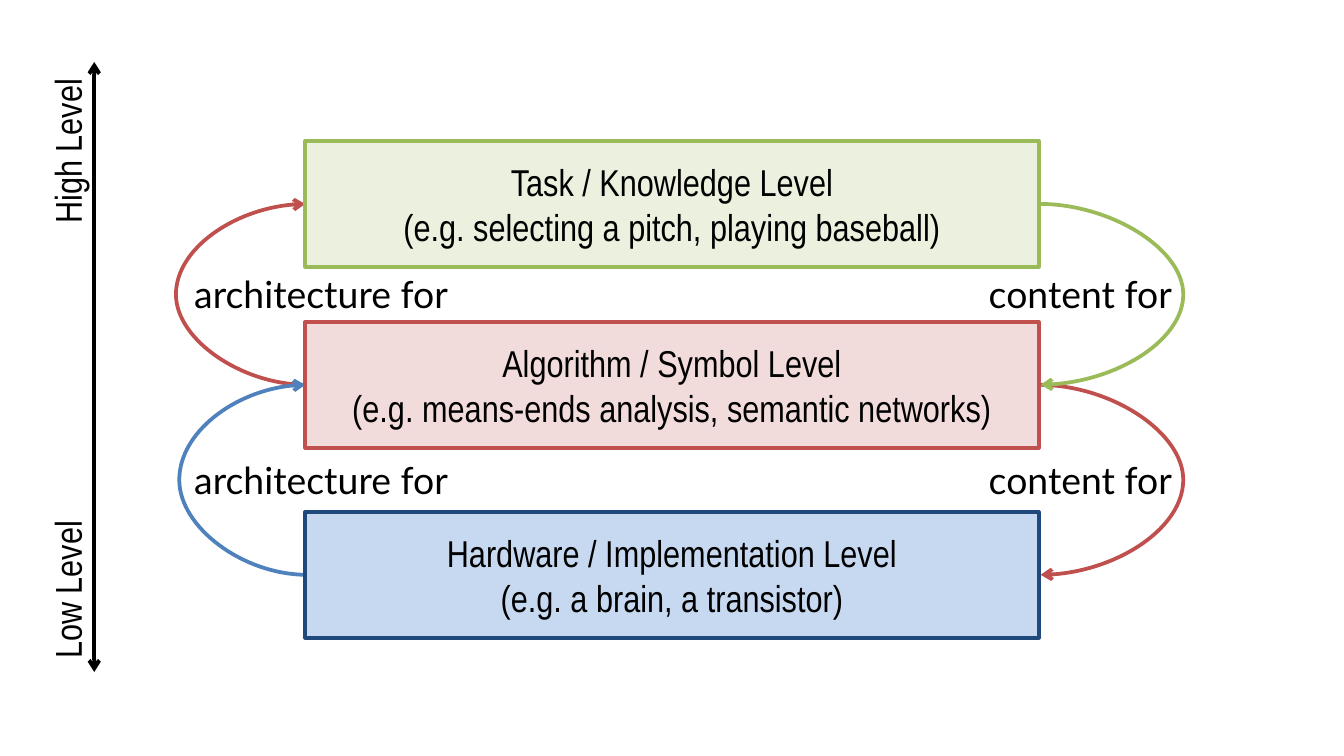
from dataclasses import dataclass

from lxml.etree import SubElement
from pptx import Presentation
from pptx.dml.color import RGBColor
from pptx.enum.shapes import MSO_CONNECTOR as Connector, MSO_SHAPE as Preset
from pptx.enum.text import MSO_ANCHOR as Anchor, PP_ALIGN as Align
from pptx.oxml.ns import qn
from pptx.util import Pt


@dataclass(frozen=True)
class Theme:
    black: str = "000000"
    green: str = "9BBB59"
    pale_green: str = "EBF1DE"
    red: str = "C0504D"
    pale_red: str = "F2DCDB"
    blue: str = "4F81BD"
    pale_blue: str = "C6D9F1"
    navy: str = "1F497D"
    level_font: str = "Arial Narrow"
    label_font: str = "Lato"
    text_size: float = 20
    line_width: float = 2


THEME = Theme()
BOX_LEFT, BOX_WIDTH, BOX_HEIGHT = 163.5, 393, 67.5
LABEL_WIDTH, LABEL_HEIGHT = 196.5, 31.7
LEFT_SITE, RIGHT_SITE = 1, 3  # connection sites of a rectangle


def write_lines(shape, lines, font, align):
    """Fill a shape with one paragraph per line."""
    frame = shape.text_frame
    frame.word_wrap = True
    for index, line in enumerate(lines):
        paragraph = frame.add_paragraph() if index else frame.paragraphs[0]
        paragraph.alignment = align
        run = paragraph.add_run()
        run.text = line
        run.font.name = font
        run.font.size = Pt(THEME.text_size)
        run.font.color.rgb = RGBColor.from_string(THEME.black)


def style_line(line, color):
    line.color.rgb = RGBColor.from_string(color)
    line.width = Pt(THEME.line_width)


def style_arrow(connector, color, ends):
    """Colour a connector, add open arrowheads and remove its shadow."""
    style_line(connector.line, color)
    properties = connector.element.spPr
    outline = properties.find(qn("a:ln"))
    for end in ends:
        SubElement(outline, qn(f"a:{end}"), type="arrow")
    SubElement(properties, qn("a:effectLst"))


def add_level(slide, top, lines, fill, outline):
    box = slide.shapes.add_shape(
        Preset.RECTANGLE, Pt(BOX_LEFT), Pt(top), Pt(BOX_WIDTH), Pt(BOX_HEIGHT))
    box.shadow.inherit = False
    box.fill.solid()
    box.fill.fore_color.rgb = RGBColor.from_string(fill)
    style_line(box.line, outline)
    box.text_frame.vertical_anchor = Anchor.MIDDLE
    write_lines(box, lines, THEME.level_font, Align.CENTER)
    return box


def add_label(shapes, left, top, width, text, font, align, rotation=0):
    label = shapes.add_textbox(Pt(left), Pt(top), Pt(width), Pt(LABEL_HEIGHT))
    label.rotation = rotation
    write_lines(label, [text], font, align)


def add_arc(slide, start, end, site, bulge, color):
    """Link two boxes on one side by a curve that bulges outwards."""
    arc = slide.shapes.add_connector(Connector.CURVE, 0, 0, 0, 0)
    arc.begin_connect(start, site)
    arc.end_connect(end, site)
    # The frame is one point wide, so the bulge in points is its multiple
    arc.width = Pt(1)
    # Rotation alone, without flips, sets the side of the bulge
    properties = arc.element.spPr
    frame = properties.find(qn("a:xfrm"))
    for flip in ("flipH", "flipV"):
        frame.attrib.pop(flip, None)
    if site == LEFT_SITE:
        frame.set("rot", "10800000")
    geometry = properties.find(qn("a:prstGeom"))
    adjustments = geometry.find(qn("a:avLst"))
    SubElement(adjustments, qn("a:gd"), name="adj1",
               fmla=f"val {round(bulge * 100000)}")
    style_arrow(arc, color, ["tailEnd"])
    # Arcs lie behind the boxes
    slide.shapes.element.insert(2, arc.element)


def add_axis(slide):
    shapes = slide.shapes.add_group_shape().shapes
    axis = shapes.add_connector(
        Connector.STRAIGHT, Pt(50.5), Pt(33.2), Pt(50.5), Pt(360))
    style_arrow(axis, THEME.black, ["headEnd", "tailEnd"])
    add_label(shapes, -17.2, 72.7, 106.6, "High Level",
              THEME.level_font, Align.RIGHT, 270)
    add_label(shapes, -9.3, 298.8, 90.8, "Low Level",
              THEME.level_font, Align.LEFT, 270)


def main():
    presentation = Presentation()
    presentation.slide_width, presentation.slide_height = Pt(720), Pt(405)
    slide = presentation.slides.add_slide(presentation.slide_layouts[6])

    # Vertical scale
    add_axis(slide)

    # Relations between neighbouring levels
    for top in (241.2, 142):
        add_label(slide.shapes, 97, top, LABEL_WIDTH, "architecture for",
                  THEME.label_font, Align.LEFT)
        add_label(slide.shapes, 438.5, top, LABEL_WIDTH, "content for",
                  THEME.label_font, Align.RIGHT)

    # Levels, from low to high
    hardware = add_level(
        slide, 274.2,
        ["Hardware / Implementation Level", "(e.g. a brain, a transistor)"],
        THEME.pale_blue, THEME.navy)
    algorithm = add_level(
        slide, 172.4,
        ["Algorithm / Symbol Level",
         "(e.g. means-ends analysis, semantic networks)"],
        THEME.pale_red, THEME.red)
    task = add_level(
        slide, 75.5,
        ["Task / Knowledge Level",
         "(e.g. selecting a pitch, playing baseball)"],
        THEME.pale_green, THEME.green)

    # Arcs, from front to back
    add_arc(slide, task, algorithm, RIGHT_SITE, 78, THEME.green)
    add_arc(slide, hardware, algorithm, LEFT_SITE, 69, THEME.blue)
    add_arc(slide, algorithm, task, LEFT_SITE, 70.8, THEME.red)
    add_arc(slide, algorithm, hardware, RIGHT_SITE, 78, THEME.red)

    presentation.save("out.pptx")


if __name__ == "__main__":
    main()
